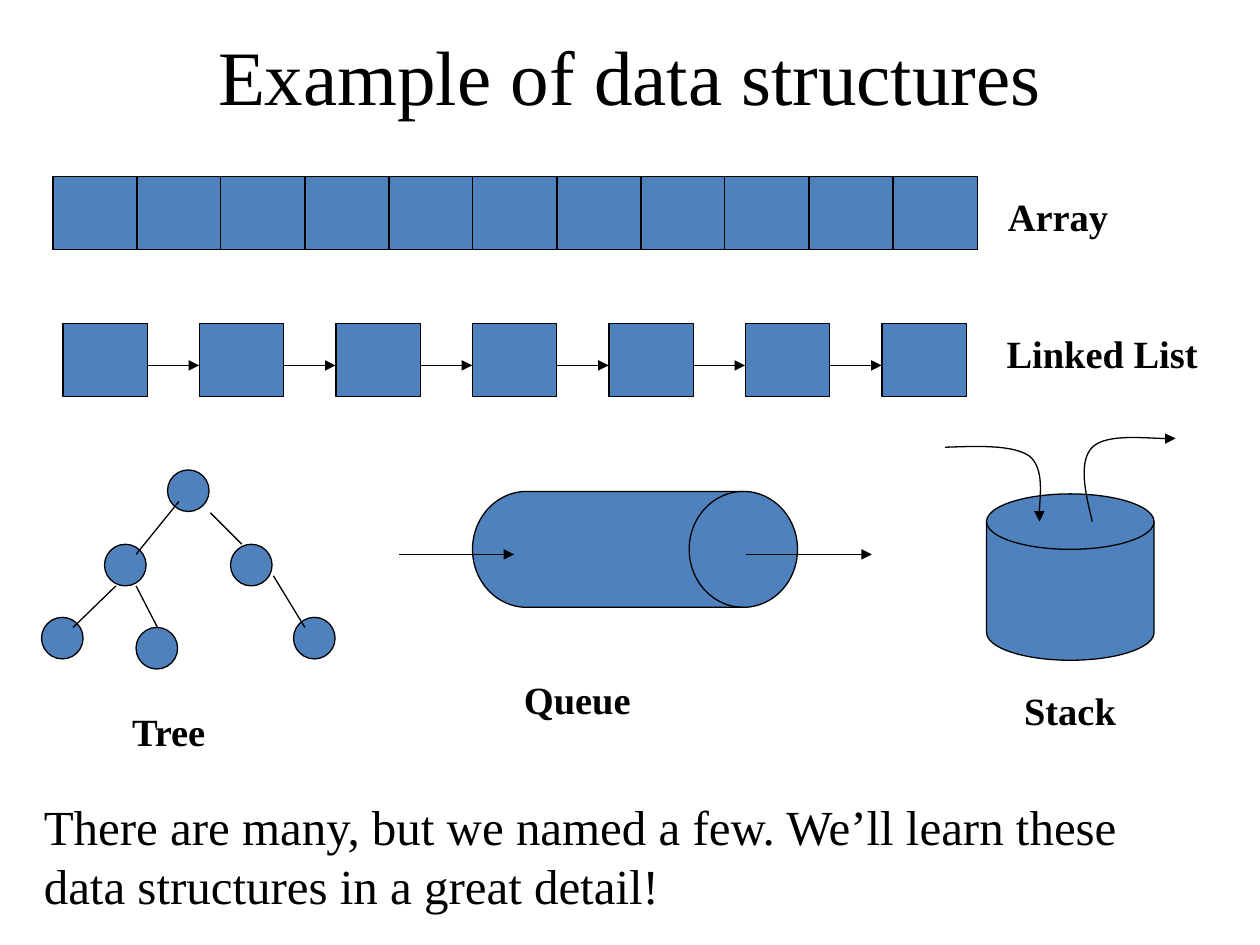
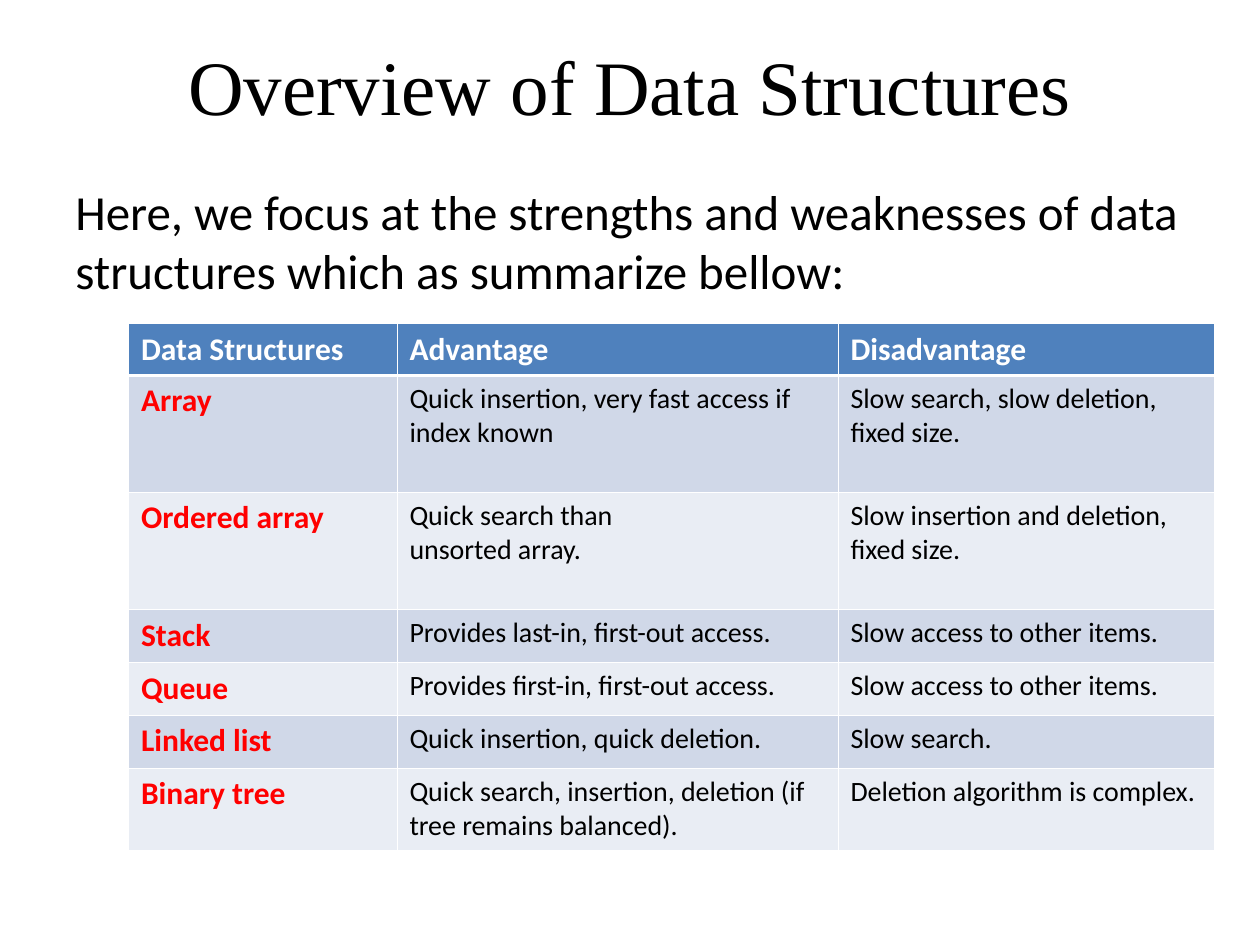
"""Build two slides on data structures: example diagrams and an overview table."""
import pptx
import pptx.dml.color
import pptx.enum.shapes
import pptx.enum.text
import pptx.oxml
import pptx.oxml.ns
import pptx.util

Inches = pptx.util.Inches
Pt = pptx.util.Pt
RGBColor = pptx.dml.color.RGBColor
SHAPE = pptx.enum.shapes.MSO_SHAPE
ANCHOR = pptx.enum.text.MSO_ANCHOR
ALIGN = pptx.enum.text.PP_ALIGN
qn = pptx.oxml.ns.qn

BLUE = RGBColor(0x4F, 0x81, 0xBD)
BAND_DARK = RGBColor(0xD0, 0xD8, 0xE8)
BAND_LIGHT = RGBColor(0xE9, 0xED, 0xF4)
BLACK = RGBColor(0, 0, 0)
WHITE = RGBColor(0xFF, 0xFF, 0xFF)
RED = RGBColor(0xFF, 0, 0)
SERIF = "Times New Roman"
SANS = "Calibri"


def write(frame, text, size, font, color=BLACK, bold=False, align=ALIGN.LEFT, before=0):
    for number, line in enumerate(text.split("\n")):
        paragraph = frame.add_paragraph() if number else frame.paragraphs[0]
        paragraph.alignment = align
        paragraph.space_before = Pt(before)
        run = paragraph.add_run()
        run.text = line
        run.font.size = Pt(size)
        run.font.name = font
        run.font.color.rgb = color
        run.font.bold = bold


def outline(drawn, arrow=False):
    drawn.line.color.rgb = BLACK
    drawn.line.width = Pt(0.75)
    if arrow:
        tail = pptx.oxml.parse_xml(f'<a:tailEnd {pptx.oxml.ns.nsdecls("a")} type="triangle"/>')
        drawn.line.fill
        drawn.element.spPr.find(qn("a:ln")).append(tail)


deck = pptx.Presentation()
deck.slide_width = Inches(10)
deck.slide_height = Inches(7.5)
examples = deck.slides.add_slide(deck.slide_layouts[6])
overview = deck.slides.add_slide(deck.slide_layouts[6])

for slide, title, left, top, width, height in [
    (examples, "Example of data structures", 0.75, 0.16, 8.5, 0.86),
    (overview, "Overview of Data Structures", 0.5, 0.05, 9, 1.25),
]:
    frame = slide.shapes.add_textbox(Inches(left), Inches(top), Inches(width), Inches(height)).text_frame
    frame.word_wrap = True
    frame.vertical_anchor = ANCHOR.MIDDLE
    write(frame, title, 44, SERIF, align=ALIGN.CENTER)

array_cells = [(SHAPE.RECTANGLE, 0.42 + i * 2 / 3, 1.4, 0.67, 0.58) for i in range(11)]
list_nodes = [(SHAPE.RECTANGLE, 0.5 + i * 13 / 12, 2.57, 0.67, 0.58) for i in range(7)]
tree_nodes = [
    (SHAPE.OVAL, left, top, 0.33, 0.33)
    for left, top in [(1.33, 3.73), (0.83, 4.32), (0.33, 4.9), (1.83, 4.32), (2.33, 4.9), (1.08, 4.98)]
]
queue_drum = (SHAPE.FLOWCHART_DIRECT_ACCESS_STORAGE, 3.75, 3.9, 2.58, 0.92)
stack_disk = (SHAPE.FLOWCHART_MAGNETIC_DISK, 7.83, 3.92, 1.33, 1.32)
for kind, left, top, width, height in array_cells + list_nodes + tree_nodes + [queue_drum, stack_disk]:
    part = examples.shapes.add_shape(kind, Inches(left), Inches(top), Inches(width), Inches(height))
    part.shadow.inherit = False
    part.fill.solid()
    part.fill.fore_color.rgb = BLUE
    outline(part)

list_links = [(1.17 + i * 13 / 12, 2.9, 1.58 + i * 13 / 12, 2.9, True) for i in range(6)]
tree_edges = [
    (1.42, 3.98, 1.08, 4.4, False),
    (0.92, 4.65, 0.58, 4.98, False),
    (1.67, 4.07, 1.92, 4.32, False),
    (2.17, 4.57, 2.42, 4.98, False),
    (1.08, 4.65, 1.25, 4.98, False),
]
queue_flow = [(3.17, 4.4, 4.08, 4.4, True), (5.92, 4.4, 6.92, 4.4, True)]
for x1, y1, x2, y2, arrow in list_links + tree_edges + queue_flow:
    link = examples.shapes.add_connector(
        pptx.enum.shapes.MSO_CONNECTOR.STRAIGHT, Inches(x1), Inches(y1), Inches(x2), Inches(y2)
    )
    outline(link, arrow)
    link.element.spPr.append(pptx.oxml.parse_xml(f'<a:effectLst {pptx.oxml.ns.nsdecls("a")}/>'))

push = [(7.5, 3.55), (7.77, 3.54), (8.04, 3.53), (8.17, 3.62), (8.29, 3.72), (8.24, 4.05), (8.25, 4.14)]
pop = [(8.67, 4.14), (8.61, 3.9), (8.56, 3.66), (8.67, 3.55), (8.78, 3.44), (9.22, 3.49), (9.33, 3.48)]
for bend in (push, pop):
    points = [(Inches(x), Inches(y)) for x, y in bend]
    builder = examples.shapes.build_freeform(*points[0])
    builder.add_line_segments(points[1:], close=False)
    curve = builder.convert_to_shape()
    curve.shadow.inherit = False
    curve.fill.background()
    outline(curve, True)
    route = next(curve.element.iter(qn("a:path")))
    steps = route.findall(qn("a:lnTo"))
    for start in range(0, len(steps), 3):
        bezier = route.makeelement(qn("a:cubicBezTo"), {})
        route.append(bezier)
        for step in steps[start:start + 3]:
            bezier.append(step[0])
            route.remove(step)

for label, left, top, width in [
    ("Array", 7.9, 1.48, 1.11),
    ("Linked List", 7.89, 2.57, 1.93),
    ("Tree", 0.95, 5.57, 0.9),
    ("Queue", 4.06, 5.32, 1.19),
    ("Stack", 8.03, 5.4, 1.04),
]:
    frame = examples.shapes.add_textbox(Inches(left), Inches(top), Inches(width), Inches(0.47)).text_frame
    frame.word_wrap = False
    write(frame, label, 22, SERIF, bold=True)

closing = "There are many, but we named a few. We’ll learn these data structures in a great detail!"
intro = "Here, we focus at the strengths and weaknesses of data structures which as summarize bellow:"
for slide, text, font, left, top, width, before in [
    (examples, closing, SERIF, 0.25, 6.27, 9.4, 0),
    (overview, intro, SANS, 0.5, 1.39, 9, 7),
]:
    frame = slide.shapes.add_textbox(Inches(left), Inches(top), Inches(width), Inches(1.04)).text_frame
    frame.word_wrap = True
    write(frame, text, 28, font, before=before)

comparison = [
    ("Data Structures", "Advantage", "Disadvantage"),
    ("Array", "Quick insertion, very fast access if index known", "Slow search, slow deletion, fixed size."),
    ("Ordered array", "Quick search than\nunsorted array.", "Slow insertion and deletion, fixed size."),
    ("Stack", "Provides last-in, first-out access.", "Slow access to other items."),
    ("Queue", "Provides first-in, first-out access.", "Slow access to other items."),
    ("Linked list", "Quick insertion, quick deletion.", "Slow search."),
    ("Binary tree", "Quick search, insertion, deletion (if tree remains balanced).", "Deletion algorithm is complex."),
]
table = overview.shapes.add_table(
    len(comparison), 3, Inches(1.02), Inches(2.57), Inches(8.62), Inches(4.17)
).table
for column, width in zip(table.columns, [2.13, 3.5, 2.99]):
    column.width = Inches(width)
for row, height in zip(table.rows, [0.41, 0.93, 0.93, 0.42, 0.42, 0.42, 0.65]):
    row.height = Inches(height)

for r, entries in enumerate(comparison):
    for c, entry in enumerate(entries):
        cell = table.cell(r, c)
        if r == 0:
            write(cell.text_frame, entry, 18, SANS, WHITE, True)
        elif c == 0:
            write(cell.text_frame, entry, 18, SANS, RED, True)
        else:
            write(cell.text_frame, entry, 16, SANS)
        properties = cell._tc.get_or_add_tcPr()
        for side in "LRTB":
            heavy = (r, side) in [(0, "B"), (1, "T")]
            properties.append(pptx.oxml.parse_xml(
                f'<a:ln{side} {pptx.oxml.ns.nsdecls("a")} w="{Pt(1.47 if heavy else 0.45)}">'
                f'<a:solidFill><a:srgbClr val="{WHITE}"/></a:solidFill></a:ln{side}>'
            ))
        cell.fill.solid()
        cell.fill.fore_color.rgb = BLUE if r == 0 else BAND_DARK if r % 2 else BAND_LIGHT

deck.save("out.pptx")
